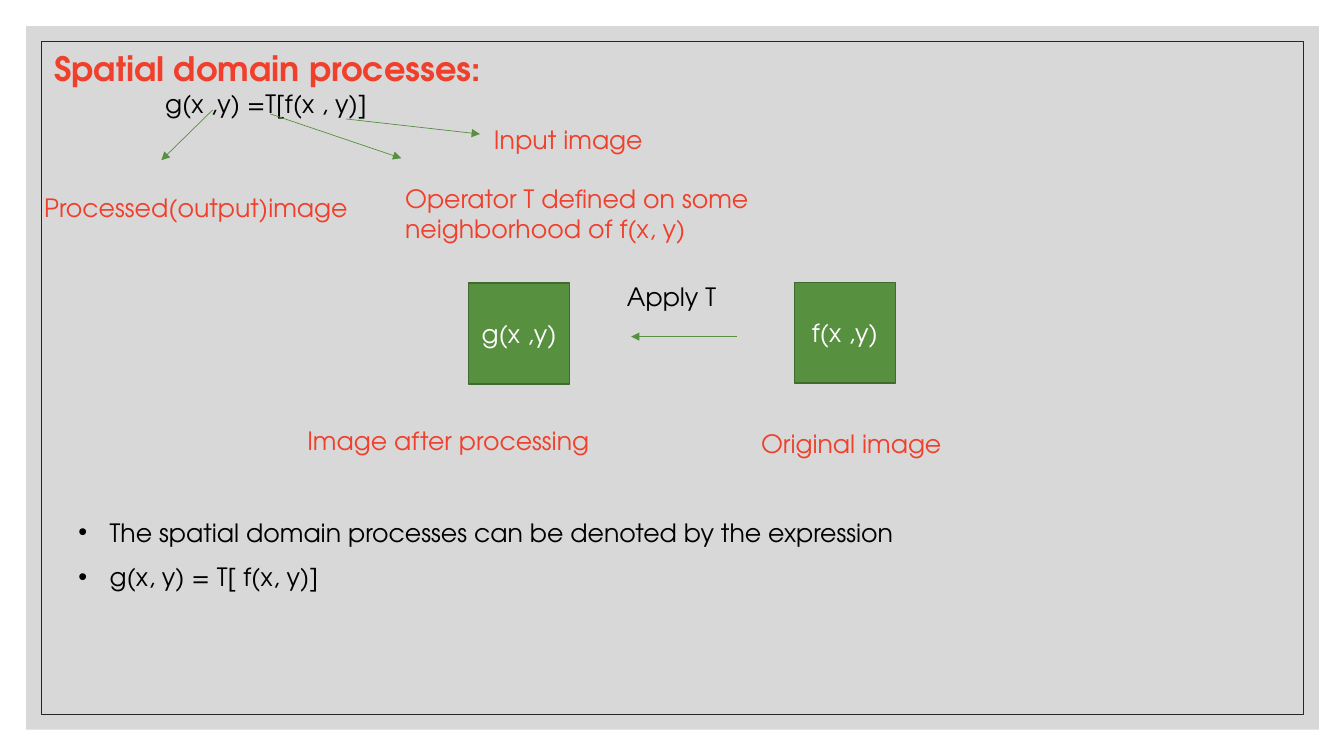
from lxml import etree
from pptx import Presentation
from pptx.dml.color import RGBColor
from pptx.enum.shapes import MSO_CONNECTOR, MSO_SHAPE
from pptx.enum.text import MSO_ANCHOR, MSO_AUTO_SIZE, PP_ALIGN
from pptx.oxml.ns import qn
from pptx.util import Emu, Pt

PX = 9144  # 100 px to the inch
FONT = "TeX Gyre Adventor"
RED, GREEN, DARK_GREEN = "F03F2B", "57903F", "406B2F"
BLACK, WHITE = "000000", "FFFFFF"

prs = Presentation()
prs.slide_width, prs.slide_height = Emu(1333 * PX), Emu(750 * PX)
s = prs.slides.add_slide(prs.slide_layouts[6])


def add_text(tf, text, size=18, color=BLACK, bold=False, align=PP_ALIGN.LEFT,
             margin=0, bullet=False, before=0):
    """Fill the first paragraph of tf, or append one if it is already used."""
    p = tf.paragraphs[0] if not tf.text else tf.add_paragraph()
    p.alignment = align
    pPr = p._p.get_or_add_pPr()
    if margin:
        pPr.set("marL", str(margin * PX))
    if before:
        p.space_before = Pt(before)
    if bullet:
        pPr.set("indent", str(-margin * PX))
        etree.SubElement(pPr, qn("a:buFont"), typeface="Arial")
        etree.SubElement(pPr, qn("a:buChar"), char="•")
    r = p.add_run()
    r.text = text
    r.font.name, r.font.size, r.font.bold = FONT, Pt(size), bold
    r.font.color.rgb = RGBColor.from_string(color)


def add_rect(x, y, w, h, fill=None, line=None, width=1):
    sp = s.shapes.add_shape(MSO_SHAPE.RECTANGLE, *(Emu(v * PX) for v in (x, y, w, h)))
    sp.shadow.inherit = False
    for part, color in ((sp.fill, fill), (sp.line.fill, line)):
        if color:
            part.solid()
            part.fore_color.rgb = RGBColor.from_string(color)
        else:
            part.background()
    if line:
        sp.line.width = Pt(width)
    return sp


# Panel and frame
panel = add_rect(26, 26, 1282, 698, fill="BFBFBF")
panel_color = panel._element.spPr.find(qn("a:solidFill"))[0]
etree.SubElement(panel_color, qn("a:alpha"), val="60000")
add_rect(41, 41, 1252, 668, line="262626", width=0.5)

# Text boxes: position, wrap, paragraphs
boxes = [
    (44, 43, 448, 81, False, [
        ("Spatial domain processes:", dict(size=24, color=RED, bold=True)),
        ("g(x ,y) =T[f(x , y)]", dict(margin=110))]),
    (34, 186, 323, 40, True, [("Processed(output)image", dict(color=RED))]),
    (392, 177, 497, 71, True, [
        ("Operator T defined on some neighborhood of f(x, y)", dict(color=RED))]),
    (480, 118, 169, 40, False, [("Input image", dict(color=RED))]),
    (612, 274, 110, 40, False, [("Apply T", {})]),
    (295, 417, 303, 40, False, [("Image after processing", dict(color=RED))]),
    (745, 420, 201, 40, False, [("Original image", dict(color=RED))]),
    (68, 508, 1148, 204, True, [
        ("The spatial domain processes can be denoted by the expression",
         dict(margin=31, bullet=True)),
        ("g(x, y) = T[ f(x, y)]", dict(margin=31, bullet=True, before=10))]),
]
for x, y, w, h, wrap, paragraphs in boxes:
    tf = s.shapes.add_textbox(*(Emu(v * PX) for v in (x, y, w, h))).text_frame
    tf.word_wrap = wrap
    tf.auto_size = MSO_AUTO_SIZE.SHAPE_TO_FIT_TEXT
    for text, style in paragraphs:
        add_text(tf, text, **style)

# Image squares
for x, y, label in ((465, 281, "g(x ,y)"), (788, 280, "f(x ,y)")):
    tf = add_rect(x, y, 100, 100, fill=GREEN, line=DARK_GREEN).text_frame
    tf.word_wrap = True
    tf.vertical_anchor = MSO_ANCHOR.MIDDLE
    add_text(tf, label, color=WHITE, align=PP_ALIGN.CENTER)

# Arrows from the formula to its labels, and from f to g
arrows = [
    (211, 109, 160, 159),
    (268, 113, 398, 157),
    (343, 118, 476, 133),
    (731, 334, 626, 334),
]
for ends in arrows:
    arrow = s.shapes.add_connector(MSO_CONNECTOR.STRAIGHT, *(Emu(v * PX) for v in ends))
    arrow.line.color.rgb = RGBColor.from_string(GREEN)
    arrow.line.width = Pt(0.5)
    etree.SubElement(arrow.line._get_or_add_ln(), qn("a:tailEnd"), type="triangle")
    etree.SubElement(arrow._element.spPr, qn("a:effectLst"))

prs.save("out.pptx")
